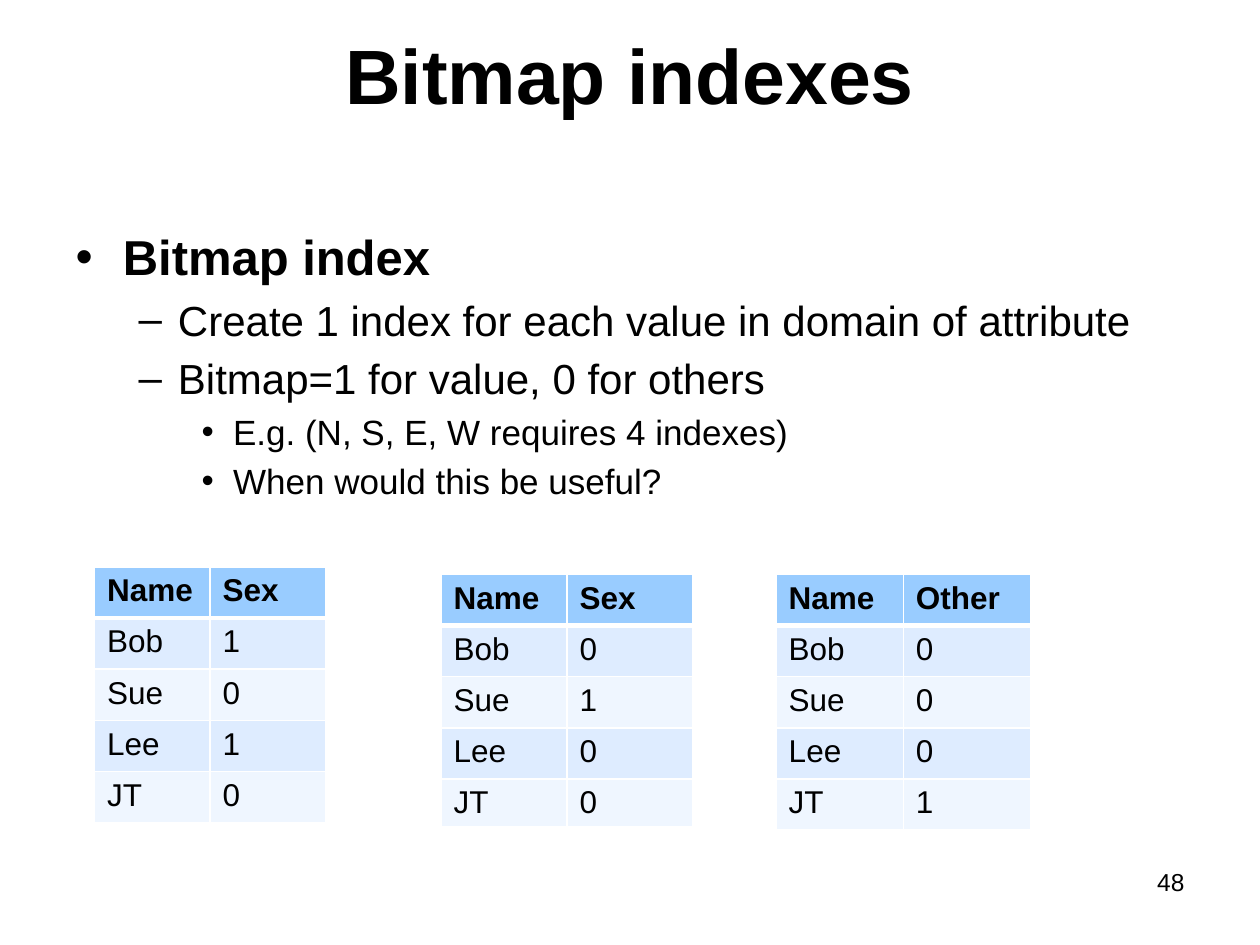
from lxml import etree
from pptx import Presentation
from pptx.dml.color import RGBColor
from pptx.enum import text
from pptx.oxml import ns
from pptx.util import Pt

COLORS = {"ink": "000000", "header": "99CCFF", "odd": "DEECFF",
          "even": "EFF6FF", "border": "FFFFFF"}


def write(paragraph, content, size, bold=False):
    run = paragraph.add_run()
    run.text = content
    font_format = {"name": "Arial", "size": Pt(size), "bold": bold}
    for attribute, value in font_format.items():
        setattr(run.font, attribute, value)
    run.font.color.rgb = RGBColor.from_string(COLORS["ink"])


def add_borders(cell, widths):
    """Draw the left, right, top and bottom cell borders, widths in points."""
    properties = cell._tc.get_or_add_tcPr()
    for side, width in zip("LRTB", widths):
        line = etree.SubElement(properties, ns.qn(f"a:ln{side}"), w=str(Pt(width)))
        fill = etree.SubElement(line, ns.qn("a:solidFill"))
        etree.SubElement(fill, ns.qn("a:srgbClr"), val=COLORS["border"])


presentation = Presentation()
presentation.slide_width, presentation.slide_height = Pt(720), Pt(540)
slide = presentation.slides.add_slide(presentation.slide_layouts[1])
title, body = slide.placeholders
number = slide.shapes.add_textbox(0, 0, 0, 0)

boxes = [
    (title, (36, 21.6, 648, 90),
     {"vertical_anchor": text.MSO_ANCHOR.TOP, "margin_top": 0}),
    (body, (36, 126, 648, 356.4), {"vertical_anchor": text.MSO_ANCHOR.TOP}),
    (number, (516.2, 491.8, 167.8, 37.4), {}),
]
for shape, position, frame_format in boxes:
    for attribute, value in zip(("left", "top", "width", "height"), position):
        setattr(shape, attribute, Pt(value))
    frame_format = {"word_wrap": True, "auto_size": text.MSO_AUTO_SIZE.NONE, **frame_format}
    for attribute, value in frame_format.items():
        setattr(shape.text_frame, attribute, value)

heading = title.text_frame.paragraphs[0]
heading.alignment = text.PP_ALIGN.CENTER
heading.line_spacing = 0.9
write(heading, "Bitmap indexes", 44, bold=True)

page = number.text_frame.paragraphs[0]
page.alignment = text.PP_ALIGN.RIGHT
write(page, "48", 14)

# Bullets, indents and spacing come from the template's list levels.
bullets = [
    (0, "Bitmap index"),
    (1, "Create 1 index for each value in domain of attribute"),
    (1, "Bitmap=1 for value, 0 for others"),
    (2, "E.g. (N, S, E, W requires 4 indexes)"),
    (2, "When would this be useful?"),
]
for index, (level, content) in enumerate(bullets):
    frame = body.text_frame
    paragraph = frame.add_paragraph() if index else frame.paragraphs[0]
    paragraph.level = level
    write(paragraph, content, 28 - 4 * level, bold=level == 0)

names = ["Bob", "Sue", "Lee", "JT"]
# left, top, column width, last row height, value heading, bits
bitmaps = [
    (54, 324, 66, 29.2, "Sex", "1010"),
    (252, 328.3, 72, 27, "Sex", "0100"),
    (443.5, 328.3, 72.7, 29.2, "Other", "0001"),
]
for left, top, column_width, last_height, value_heading, bits in bitmaps:
    rows = [("Name", value_heading), *zip(names, bits)]
    heights = [29.2] * len(names) + [last_height]
    table = slide.shapes.add_table(len(rows), 2, Pt(left), Pt(top),
                                   Pt(2 * column_width), Pt(sum(heights))).table
    for column in table.columns:
        column.width = Pt(column_width)
    for index, values in enumerate(rows):
        table.rows[index].height = Pt(heights[index])
        shade = "header" if index == 0 else "odd" if index % 2 else "even"
        for cell, value in zip(table.rows[index].cells, values):
            add_borders(cell, (1, 1, 3 if index == 1 else 1, 3 if index == 0 else 1))
            cell.fill.solid()
            cell.fill.fore_color.rgb = RGBColor.from_string(COLORS[shade])
            write(cell.text_frame.paragraphs[0], value, 18, bold=index == 0)

presentation.save("out.pptx")
